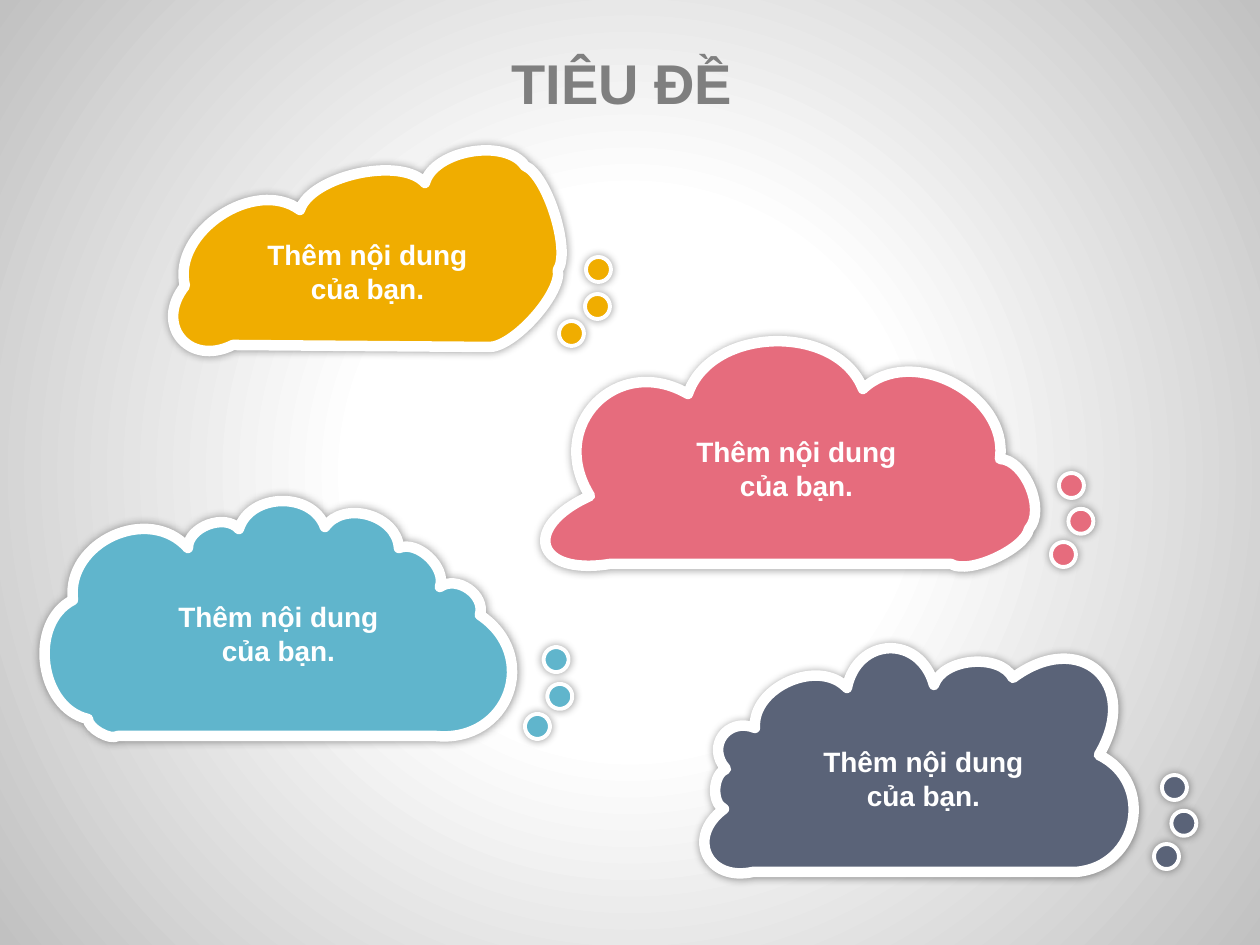
import math

import lxml.etree
import pptx
import pptx.dml.color
import pptx.enum.shapes
import pptx.enum.text
import pptx.oxml.ns
import pptx.util

SCALE = 914400 / 126
RGB = pptx.dml.color.RGBColor
WHITE = RGB.from_string("FFFFFF")
SILVER = RGB.from_string("C1C1C1")
GREY = RGB.from_string("7F7F7F")
GOLD = RGB.from_string("F0AD00")
PINK = RGB.from_string("E66C7D")
BLUE = RGB.from_string("60B5CC")
SLATE = RGB.from_string("5A6378")
DOT = 25
TRAIL = [(0, 0), (26, -27), (27, -64)]
SPREAD = 0.36
NOTE = "Thêm nội dung của bạn."

CLOUDS = [
    dict(fill=GOLD, edge=(488, 347), dot=(559, 321), tilt=0, note=(249, 231),
         bumps=[(558, 270, 19), (525, 166, 18), (425, 183, 31), (300, 210, 31),
                (185, 286, 52), (233, 345, 48)]),
    dict(fill=PINK, edge=(951, 564), dot=(1051, 542), tilt=-16.3, note=(678, 428),
         bumps=[(1029, 529, 17), (1000, 459, 23), (863, 389, 62), (688, 394, 67),
                (590, 496, 80), (610, 564, 75)]),
    dict(fill=BLUE, edge=(436, 736), dot=(525, 714), tilt=-7.3, note=(160, 593),
         bumps=[(480, 615, 71), (440, 587, 20), (399, 548, 19), (325, 527, 31),
                (239, 529, 36), (188, 548, 20), (73, 600, 56), (88, 719, 47),
                (118, 736, 8)]),
    dict(fill=SLATE, edge=(1076, 872), dot=(1154, 844), tilt=-16.3, note=(805, 738),
         bumps=[(1099, 755, 61), (1013, 678, 82), (934, 685, 26), (847, 688, 51),
                (755, 728, 39), (726, 769, 29), (724, 809, 13), (753, 872, 46)]),
]


def px(*nums):
    """Turn px lengths into EMU."""
    return [pptx.util.Emu(round(num * SCALE)) for num in nums]


def put(item, **vals):
    """Set each named format value on an object."""
    for name, val in vals.items():
        setattr(item, name, val)


def node(root, tag, **attrs):
    """Append a drawing element with its attributes."""
    return lxml.etree.SubElement(
        root, pptx.oxml.ns.qn(tag), {key: str(val) for key, val in attrs.items()})


def paint(shape, fill, width):
    """Give a shape its fill, white rim and soft shadow."""
    shape.fill.solid()
    shape.fill.fore_color.rgb = fill
    shape.line.color.rgb = WHITE
    shape.line.width = pptx.util.Pt(width)
    shape.shadow.inherit = False
    glow = shape.element.xpath(".//a:effectLst")[0]
    shade = node(glow, "a:outerShdw", blurRad=pptx.util.Pt(5), dist=0, dir=0,
                 algn="ctr", rotWithShape=0)
    node(node(shade, "a:srgbClr", val="000000"), "a:alpha", val=40000)


def arc(head, tail, bulge):
    """Return the four points of a bump that swells out from its chord."""
    run, rise = tail[0] - head[0], tail[1] - head[1]
    size = math.hypot(run, rise)
    x = (head[0] + tail[0]) / 2 - bulge * rise / size
    y = (head[1] + tail[1]) / 2 + bulge * run / size
    return [head, (x - SPREAD * run, y - SPREAD * rise),
            (x + SPREAD * run, y + SPREAD * rise), tail]


def trace(curve, steps=20):
    """Return points along a cubic curve."""
    spots = []
    for step in range(steps + 1):
        part = step / steps
        mix = [math.comb(3, k) * part ** k * (1 - part) ** (3 - k) for k in range(4)]
        spots.append([sum(m * p[axis] for m, p in zip(mix, curve)) for axis in (0, 1)])
    return spots


def add_cloud(slide, fill, edge, bumps):
    """Draw a closed outline of bumps on a flat base."""
    ends = [edge] + [bump[:2] for bump in bumps]
    curves = [arc(head, tail, bump[2]) for head, tail, bump in zip(ends, ends[1:], bumps)]
    spots = [spot for curve in curves for spot in trace(curve)]
    x, y = [round(min(axis)) for axis in zip(*spots)]
    right, low = [round(max(axis)) for axis in zip(*spots)]
    form = slide.shapes.build_freeform(x, y, scale=SCALE)
    form.add_line_segments([(right, y), (right, low), (x, low)])
    shape = form.convert_to_shape()
    line = shape.element.xpath(".//a:path")[0]
    for part in list(line):
        line.remove(part)
    steps = [("a:moveTo", ends[-1:]), ("a:lnTo", [edge])]
    steps += [("a:cubicBezTo", curve[1:]) for curve in curves]
    for tag, points in steps:
        step = node(line, tag)
        for left, top in points:
            node(step, "a:pt", x=round(left - x), y=round(top - y))
    node(line, "a:close")
    paint(shape, fill, 6)


def add_dots(slide, fill, dot, tilt):
    """Draw a group of thought dots along a tilted trail."""
    group = slide.shapes.add_group_shape()
    cos, sin = math.cos(math.radians(tilt)), math.sin(math.radians(tilt))
    for x, y in TRAIL:
        left, top = dot[0] + x * cos - y * sin, dot[1] + x * sin + y * cos
        ball = group.shapes.add_shape(
            pptx.enum.shapes.MSO_SHAPE.OVAL, *px(left, top, DOT, DOT))
        ball.rotation = tilt
        paint(ball, fill, 2.25)


def add_text(slide, box, text, size, color, wrap):
    """Add a bold centred text."""
    frame = slide.shapes.add_textbox(*px(*box)).text_frame
    put(frame, text=text, word_wrap=wrap,
        auto_size=pptx.enum.text.MSO_AUTO_SIZE.SHAPE_TO_FIT_TEXT,
        vertical_anchor=pptx.enum.text.MSO_ANCHOR.MIDDLE)
    para = frame.paragraphs[0]
    para.alignment = pptx.enum.text.PP_ALIGN.CENTER
    font = para.runs[0].font
    put(font, name="Arial", size=pptx.util.Pt(size), bold=True)
    font.color.rgb = color


def set_back(slide):
    """Fill the slide with a round gradient."""
    fill = slide.background.fill
    fill.gradient()
    for stop, spot, color in zip(fill.gradient_stops, (0.35, 1), (WHITE, SILVER)):
        stop.position = spot
        stop.color.rgb = color
    grad = slide.element.xpath(".//p:bg//a:gradFill")[0]
    for lin in grad.xpath("./a:lin"):
        grad.remove(lin)
    ring = node(grad, "a:path", path="circle")
    node(ring, "a:fillToRect", **dict.fromkeys("ltrb", 50000))


def main():
    """Build and save the slide."""
    deck = pptx.Presentation()
    deck.slide_width, deck.slide_height = px(1260, 945)
    slide = deck.slides.add_slide(deck.slide_layouts[6])
    set_back(slide)
    add_text(slide, (103, 42, 1038, 81), "TIÊU ĐỀ", 32, GREY, False)
    for cloud in CLOUDS:
        add_cloud(slide, cloud["fill"], cloud["edge"], cloud["bumps"])
    for cloud in CLOUDS:
        add_dots(slide, cloud["fill"], cloud["dot"], cloud["tilt"])
    for cloud in CLOUDS:
        add_text(slide, (*cloud["note"], 237, 81), NOTE, 16, WHITE, True)
    deck.save("out.pptx")


if __name__ == "__main__":
    main()
